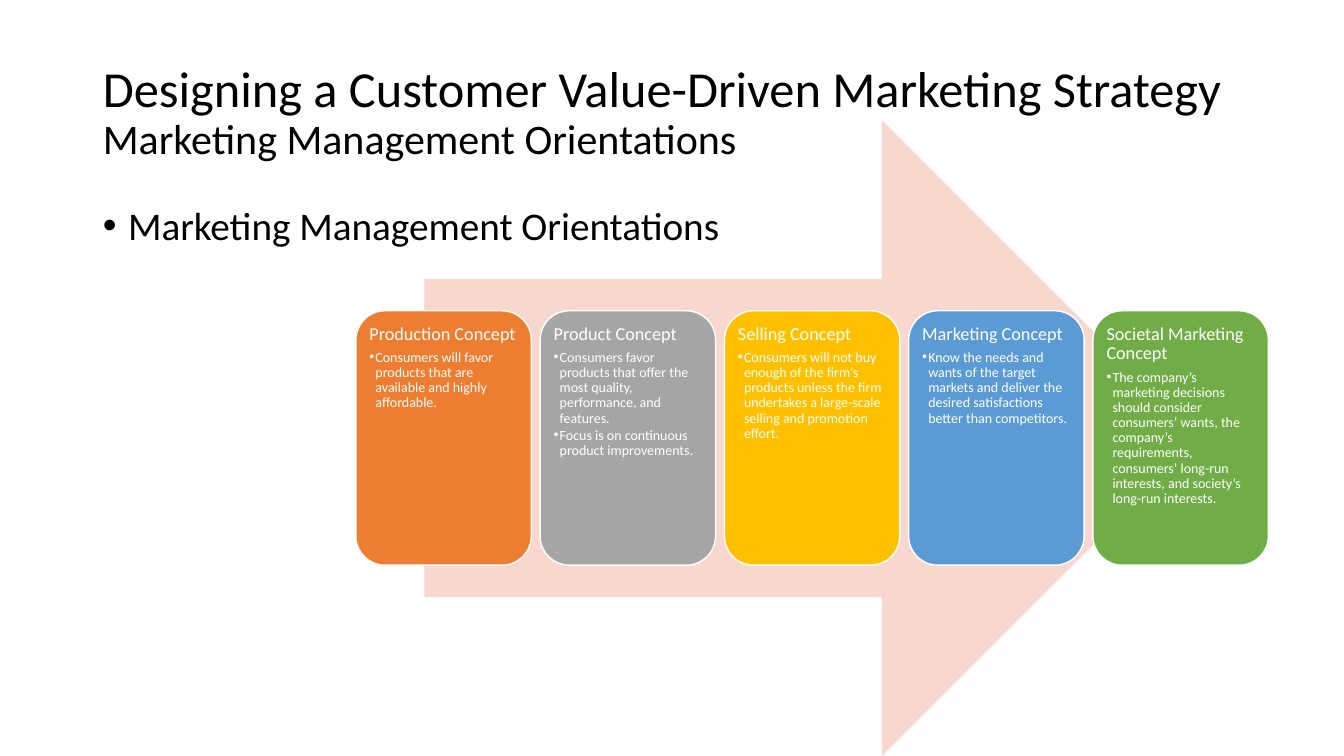
from lxml.etree import SubElement
from pptx import Presentation
from pptx.dml.color import RGBColor
from pptx.enum.shapes import MSO_SHAPE
from pptx.enum.text import MSO_ANCHOR, MSO_AUTO_SIZE, PP_ALIGN
from pptx.oxml.ns import qn
from pptx.util import Inches, Pt

BLACK = RGBColor(0x00, 0x00, 0x00)
WHITE = RGBColor(0xFF, 0xFF, 0xFF)
PINK = RGBColor(0xF8, 0xD7, 0xCE)
ORANGE = RGBColor(0xED, 0x7D, 0x31)
GRAY = RGBColor(0xA5, 0xA5, 0xA5)
GOLD = RGBColor(0xFF, 0xC0, 0x00)
BLUE = RGBColor(0x5B, 0x9B, 0xD5)
GREEN = RGBColor(0x70, 0xAD, 0x47)
FONT = "Calibri"

CONCEPTS = [
    ("Production Concept", ORANGE,
     ["Consumers will favor products that are available and highly affordable."]),
    ("Product Concept", GRAY,
     ["Consumers favor products that offer the most quality, performance, and features.",
      "Focus is on continuous product improvements."]),
    ("Selling Concept", GOLD,
     ["Consumers will not buy enough of the firm’s products unless the firm "
      "undertakes a large-scale selling and promotion effort."]),
    ("Marketing Concept", BLUE,
     ["Know the needs and wants of the target markets and deliver the desired "
      "satisfactions better than competitors."]),
    ("Societal Marketing Concept", GREEN,
     ["The company’s marketing decisions should consider consumers’ wants, the "
      "company’s requirements, consumers’ long-run interests, and society’s "
      "long-run interests."]),
]


def place(shape, x, y, w, h):
    """Move a shape to a box given in inches."""
    shape.left, shape.top = Inches(x), Inches(y)
    shape.width, shape.height = Inches(w), Inches(h)


def format_paragraph(p, size, color, after=0, indent=None):
    """Format a left-aligned paragraph, bulleted when an indent is given."""
    if indent is not None:
        pPr = p._p.get_or_add_pPr()
        pPr.set("marL", str(Inches(indent)))
        pPr.set("indent", str(-Inches(indent)))
        SubElement(pPr, qn("a:buFont"), typeface="Arial")
        SubElement(pPr, qn("a:buChar"), char="•")
    p.alignment = PP_ALIGN.LEFT
    p.line_spacing = 0.9
    p.space_before = Pt(0)
    p.space_after = Pt(after)
    for r in p.runs:
        r.font.name = FONT
        r.font.size = Pt(size)
        r.font.color.rgb = color


def add_title(s, x, y, w, h):
    """Fill the title placeholder with a heading and a smaller second line."""
    title = s.shapes.title
    place(title, x, y, w, h)
    tf = title.text_frame
    tf.auto_size = MSO_AUTO_SIZE.NONE
    tf.vertical_anchor = MSO_ANCHOR.MIDDLE
    p = tf.paragraphs[0]
    p.text = ("Designing a Customer Value-Driven Marketing Strategy\v"
              "Marketing Management Orientations")
    format_paragraph(p, 36, BLACK)
    p.runs[1].font.size = Pt(30)


def add_body(s, x, y, w, h):
    """Fill the body placeholder with the topic bullet."""
    body = s.placeholders[1]
    place(body, x, y, w, h)
    tf = body.text_frame
    tf.auto_size = MSO_AUTO_SIZE.NONE
    tf.text = "Marketing Management Orientations"
    format_paragraph(tf.paragraphs[0], 28, BLACK, indent=0.25)


def add_filled(s, kind, color, x, y, w, h):
    """Add a flat preset shape without outline."""
    sp = s.shapes.add_shape(kind, Inches(x), Inches(y), Inches(w), Inches(h))
    sp.shadow.inherit = False
    sp.fill.solid()
    sp.fill.fore_color.rgb = color
    sp.line.fill.background()
    return sp


def add_card(s, concept, x, y, w, h):
    """Add one concept card with its heading and bullets."""
    heading, color, points = concept
    sp = add_filled(s, MSO_SHAPE.ROUNDED_RECTANGLE, color, x, y, w, h)
    sp.line.color.rgb = WHITE
    sp.line.width = Pt(1)
    tf = sp.text_frame
    tf.word_wrap = True
    tf.vertical_anchor = MSO_ANCHOR.TOP
    tf.margin_left = tf.margin_right = Inches(0.05)
    tf.margin_top = tf.margin_bottom = Inches(0.05)
    tf.text = heading
    format_paragraph(tf.paragraphs[0], 13, WHITE, after=4.5)
    for point in points:
        p = tf.add_paragraph()
        p.text = point
        p.level = 1
        format_paragraph(p, 10, WHITE, after=1.5, indent=0.06)


def add_process(s, x, y, w, h):
    """Place the arrow and a row of evenly spaced cards in front of it."""
    arrow_w = 0.85 * w
    add_filled(s, MSO_SHAPE.RIGHT_ARROW, PINK, x + (w - arrow_w) / 2, y, arrow_w, h)
    card_w, card_h = 1.74, 0.4 * h
    step = (w - card_w) / (len(CONCEPTS) - 1)
    for i, concept in enumerate(CONCEPTS):
        add_card(s, concept, x + i * step, y + (h - card_h) / 2, card_w, card_h)


def main():
    """Build and save the slide."""
    prs = Presentation()
    prs.slide_width, prs.slide_height = Inches(13.33), Inches(7.5)
    s = prs.slides.add_slide(prs.slide_layouts[1])
    add_title(s, 0.92, 0.4, 11.5, 1.45)
    add_body(s, 0.92, 2, 11.5, 4.76)
    add_process(s, 3.53, 1.19, 9.05, 6.31)
    prs.save("out.pptx")


if __name__ == "__main__":
    main()
